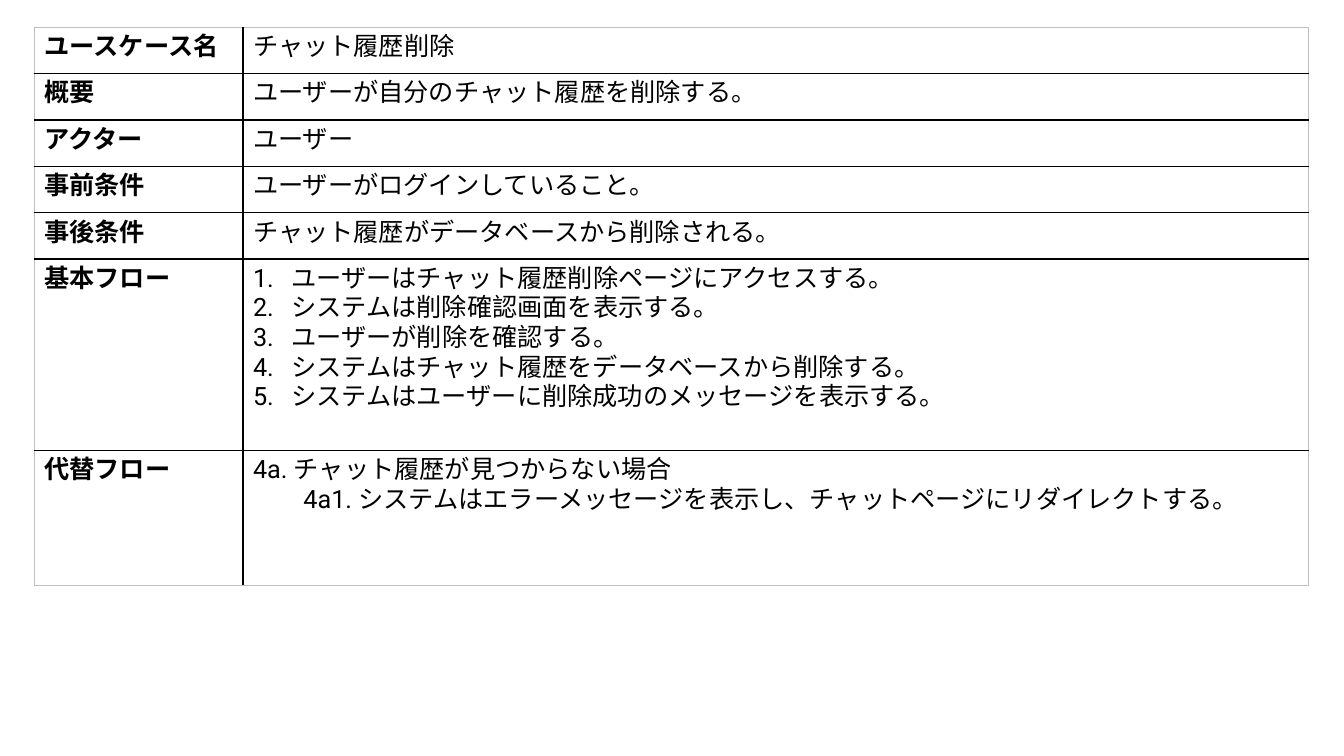
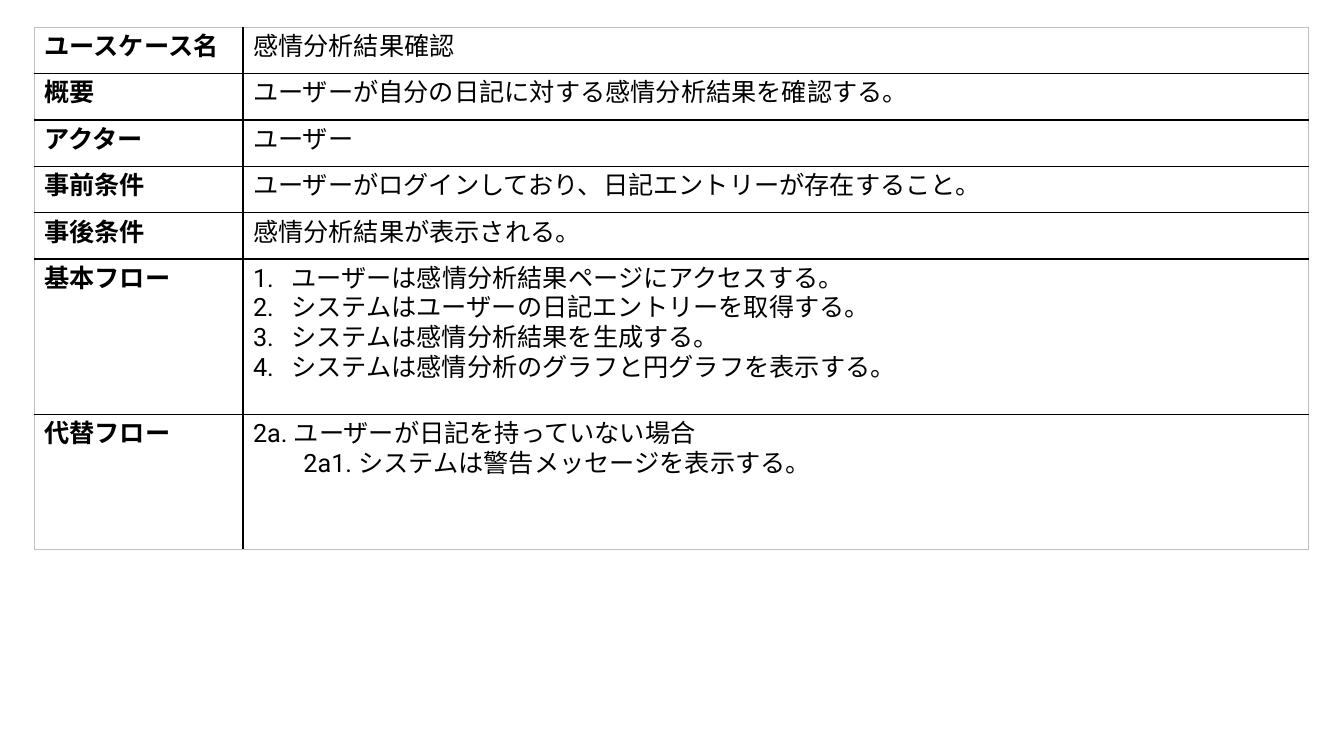
"""Build two use case description slides, each one a bordered table."""
from lxml.etree import SubElement
from pptx import Presentation
from pptx.dml.color import RGBColor
from pptx.oxml.ns import qn
from pptx.util import Inches, Pt

LABELS = ["ユースケース名", "概要", "アクター", "事前条件", "事後条件", "基本フロー", "代替フロー"]
USE_CASES = [
    {
        "facts": [
            "チャット履歴削除",
            "ユーザーが自分のチャット履歴を削除する。",
            "ユーザー",
            "ユーザーがログインしていること。",
            "チャット履歴がデータベースから削除される。",
        ],
        "basic_flow": [
            "ユーザーはチャット履歴削除ページにアクセスする。",
            "システムは削除確認画面を表示する。",
            "ユーザーが削除を確認する。",
            "システムはチャット履歴をデータベースから削除する。",
            "システムはユーザーに削除成功のメッセージを表示する。",
        ],
        "alternative_flow": [
            "4a. チャット履歴が見つからない場合",
            "4a1. システムはエラーメッセージを表示し、チャットページにリダイレクトする。",
        ],
    },
    {
        "facts": [
            "感情分析結果確認",
            "ユーザーが自分の日記に対する感情分析結果を確認する。",
            "ユーザー",
            "ユーザーがログインしており、日記エントリーが存在すること。",
            "感情分析結果が表示される。",
        ],
        "basic_flow": [
            "ユーザーは感情分析結果ページにアクセスする。",
            "システムはユーザーの日記エントリーを取得する。",
            "システムは感情分析結果を生成する。",
            "システムは感情分析のグラフと円グラフを表示する。",
        ],
        "alternative_flow": [
            "2a. ユーザーが日記を持っていない場合",
            "2a1. システムは警告メッセージを表示する。",
        ],
    },
]

COLOURS = {"text": "000000", "inner": "000000", "outer": "BFBFBF"}
FONT = "Roboto"
FONT_SIZE = Pt(18)
LEFT, TOP = Inches(0.34), Inches(0.27)
COLUMN_WIDTHS = [Inches(2.07), Inches(10.57)]
LINE_HEIGHT, CELL_PADDING = Inches(0.36), Inches(0.1)
LAST_ROW_HEIGHT = Inches(1.34)
OUTER_LINE, INNER_LINE, HEADER_LINE = Pt(0.5), Pt(1), Pt(1.5)


def set_borders(cell, row, column, last_row, last_column):
    """Draw light outer edges, black inner ones and a heavier rule below the first row."""
    edges = {
        "a:lnL": (column == 0, False),
        "a:lnR": (column == last_column, False),
        "a:lnT": (row == 0, row == 1),
        "a:lnB": (row == last_row, row == 0),
    }
    properties = cell._tc.get_or_add_tcPr()
    for tag, (is_outer, is_header) in edges.items():
        width = OUTER_LINE if is_outer else HEADER_LINE if is_header else INNER_LINE
        line = SubElement(properties, qn(tag), w=str(width))
        fill = SubElement(line, qn("a:solidFill"))
        SubElement(fill, qn("a:srgbClr"), val=COLOURS["outer" if is_outer else "inner"])


def write_cell(cell, lines, bold):
    """Fill a cell with one paragraph per line."""
    cell.text_frame.text = "\n".join(lines)
    for para in cell.text_frame.paragraphs:
        for span in para.runs:
            font = span.font
            font.name, font.size, font.bold = FONT, FONT_SIZE, bold
            font.color.rgb = RGBColor.from_string(COLOURS["text"])
            SubElement(font._element, qn("a:ea"), typeface=FONT)


def indent(para, margin, first_line):
    """Set the left margin and first-line indent, and return the paragraph properties."""
    properties = para._p.get_or_add_pPr()
    properties.set("marL", str(margin))
    properties.set("indent", str(first_line))
    return properties


def number_steps(cell):
    """Number each paragraph of a cell automatically."""
    for para in cell.text_frame.paragraphs:
        properties = indent(para, Inches(0.38), -Inches(0.38))
        SubElement(properties, qn("a:buFont"), typeface="+mj-lt")
        SubElement(properties, qn("a:buAutoNum"), type="arabicPeriod")


def add_use_case(deck, use_case):
    """Add one slide with the table of a use case."""
    page = deck.slides.add_slide(deck.slide_layouts[6])
    contents = [[fact] for fact in use_case["facts"]]
    contents += [use_case["basic_flow"], use_case["alternative_flow"]]
    heights = [CELL_PADDING + len(lines) * LINE_HEIGHT for lines in contents]
    heights[-1] = LAST_ROW_HEIGHT
    table = page.shapes.add_table(
        len(LABELS), len(COLUMN_WIDTHS), LEFT, TOP, sum(COLUMN_WIDTHS), sum(heights)
    ).table
    table.first_row = table.horz_banding = False
    for column, width in zip(table.columns, COLUMN_WIDTHS):
        column.width = width
    last_row, last_column = len(LABELS) - 1, len(COLUMN_WIDTHS) - 1
    for row, (label, lines) in enumerate(zip(LABELS, contents)):
        table.rows[row].height = heights[row]
        for column, cell_lines in enumerate([[label], lines]):
            cell = table.cell(row, column)
            write_cell(cell, cell_lines, bold=column == 0)
            set_borders(cell, row, column, last_row, last_column)
            cell.fill.background()
    number_steps(table.cell(last_row - 1, 1))
    detail = table.cell(last_row, 1).text_frame.paragraphs[1]
    detail.level = 1
    indent(detail, Inches(0.5), 0)


def main():
    """Build and save the deck."""
    deck = Presentation()
    deck.slide_width, deck.slide_height = Inches(13.33), Inches(7.5)
    for use_case in USE_CASES:
        add_use_case(deck, use_case)
    deck.save("out.pptx")


if __name__ == "__main__":
    main()
